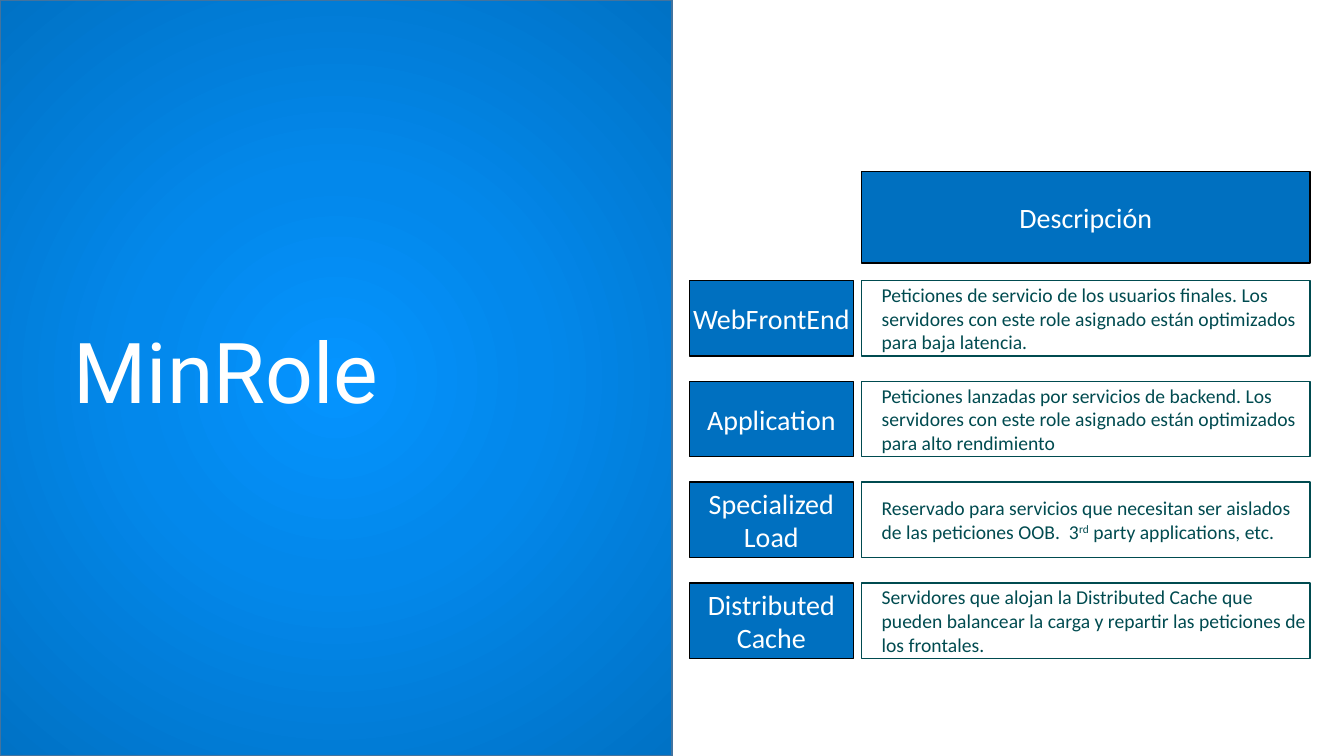
from lxml import etree
from pptx import Presentation
from pptx.dml.color import RGBColor
from pptx.enum.shapes import MSO_SHAPE
from pptx.enum.text import MSO_ANCHOR, PP_ALIGN
from pptx.oxml.ns import qn
from pptx.util import Cm, Pt

RECTANGLE = MSO_SHAPE.RECTANGLE
MIDDLE = MSO_ANCHOR.MIDDLE
LEFT, CENTER = PP_ALIGN.LEFT, PP_ALIGN.CENTER
TITLE_ONLY = 5

COLORS = {
    "white": "FFFFFF",
    "black": "000000",
    "blue": "0070C0",
    "teal": "004B50",
    "panel_line": "43739E",
    "glow": "0594FF",
    "glow_mid": "0388EB",
    "glow_edge": "0072C5",
}
GLOW_STOPS = [(0, "glow"), (40, "glow_mid"), (100, "glow_edge")]
SUPERSCRIPT_MARK = "^"
ROLES = [
    ("WebFrontEnd",
     "Peticiones de servicio de los usuarios finales. Los servidores con este "
     "role asignado están optimizados para baja latencia."),
    ("Application",
     "Peticiones lanzadas por servicios de backend. Los servidores con este "
     "role asignado están optimizados para alto rendimiento"),
    ("Specialized Load",
     "Reservado para servicios que necesitan ser aislados de las peticiones "
     "OOB.  3^rd^ party applications, etc."),
    ("Distributed Cache",
     "Servidores que alojan la Distributed Cache que pueden balancear la carga "
     "y repartir las peticiones de los frontales."),
]


def color(name):
    return RGBColor.from_string(COLORS[name])


def style_run(run, font_name, size, color_name):
    run.font.name = font_name
    run.font.size = Pt(size)
    run.font.color.rgb = color(color_name)


def add_box(slide, left, top, width, height, line):
    box = slide.shapes.add_shape(
        RECTANGLE, Cm(left), Cm(top), Cm(width), Cm(height))
    box.shadow.inherit = False
    box.line.color.rgb = color(line)
    box.line.width = Pt(1)
    return box


def add_radial_glow(panel):
    panel.fill.gradient()
    gradient = panel._element.spPr.find(qn("a:gradFill"))
    for child in list(gradient):
        gradient.remove(child)
    stops = etree.SubElement(gradient, qn("a:gsLst"))
    for percent, name in GLOW_STOPS:
        stop = etree.SubElement(stops, qn("a:gs"), pos=str(percent * 1000))
        etree.SubElement(stop, qn("a:srgbClr"), val=COLORS[name])
    circle = etree.SubElement(gradient, qn("a:path"), path="circle")
    center = {side: "50000" for side in "ltrb"}
    etree.SubElement(circle, qn("a:fillToRect"), center)


def add_title_panel(slide, left, top, width, height):
    panel = add_box(slide, left, top, width, height, "panel_line")
    add_radial_glow(panel)
    title = slide.shapes.title
    title._element.addprevious(panel._element)
    title.left, title.top = Cm(left + 1.6), Cm(top + 2.41)
    title.width, title.height = Cm(width - 3.22), Cm(height - 4.9)
    title.text_frame.text = "MinRole"
    title.text_frame.vertical_anchor = MIDDLE
    heading = title.text_frame.paragraphs[0]
    heading.alignment = LEFT
    heading.line_spacing = 0.9
    style_run(heading.runs[0], "Roboto", 60, "white")


def add_label(slide, box, text, size, fill, line, ink, align, inset):
    label = add_box(slide, *box, line)
    label.fill.solid()
    label.fill.fore_color.rgb = color(fill)
    frame = label.text_frame
    frame.word_wrap = True
    frame.vertical_anchor = MIDDLE
    frame.margin_left, frame.margin_right = Cm(inset), Cm(0)
    frame.margin_top = frame.margin_bottom = Cm(0.13)
    paragraph = frame.paragraphs[0]
    paragraph.alignment = align
    for index, part in enumerate(text.split(SUPERSCRIPT_MARK)):
        run = paragraph.add_run()
        run.text = part
        style_run(run, "Calibri", size, ink)
        if index % 2:
            run._r.get_or_add_rPr().set("baseline", "30000")


def add_heading(slide, box, text):
    add_label(slide, box, text, 20, "blue", "black", "white", CENTER, 0)


def add_description(slide, box, text):
    add_label(slide, box, text, 14, "white", "teal", "teal", LEFT, 0.51)


def add_roles(slide, left, top, width):
    name_width, gap = 4.14, 0.2
    header_height, row_height, row_pitch = 2.31, 1.9, 2.54
    description_left = left + name_width + gap
    description_width = width - name_width - gap
    add_heading(slide, (description_left, top, description_width, header_height),
                "Descripción")
    first_row = top + header_height + 0.44
    for index, (role, description) in enumerate(ROLES):
        row_top = first_row + index * row_pitch
        add_heading(slide, (left, row_top, name_width, row_height), role)
        add_description(
            slide, (description_left, row_top, description_width, row_height),
            description)


def main():
    deck = Presentation()
    deck.slide_width, deck.slide_height = Cm(33.87), Cm(19.05)
    slide = deck.slides.add_slide(deck.slide_layouts[TITLE_ONLY])
    add_title_panel(slide, 0, 0, 16.94, 19.05)
    add_roles(slide, 17.37, 4.32, 15.65)
    deck.save("out.pptx")


if __name__ == "__main__":
    main()
